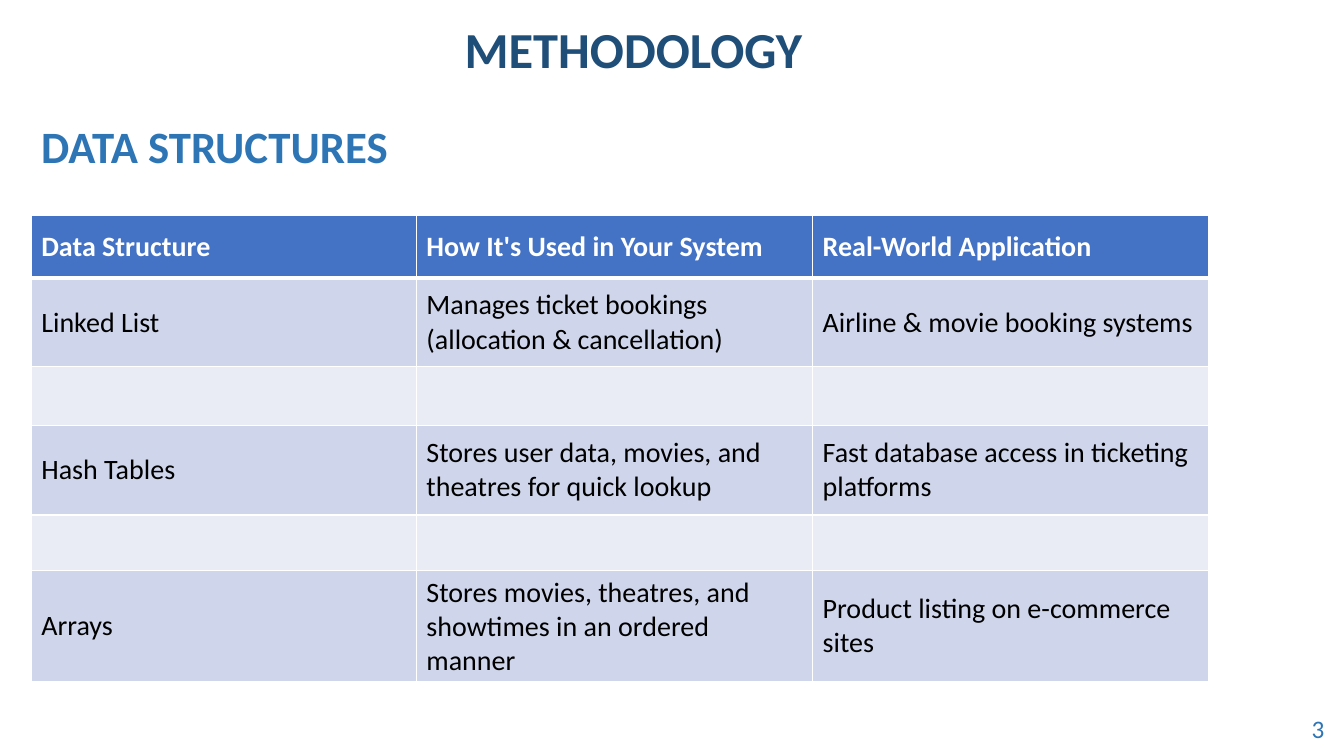
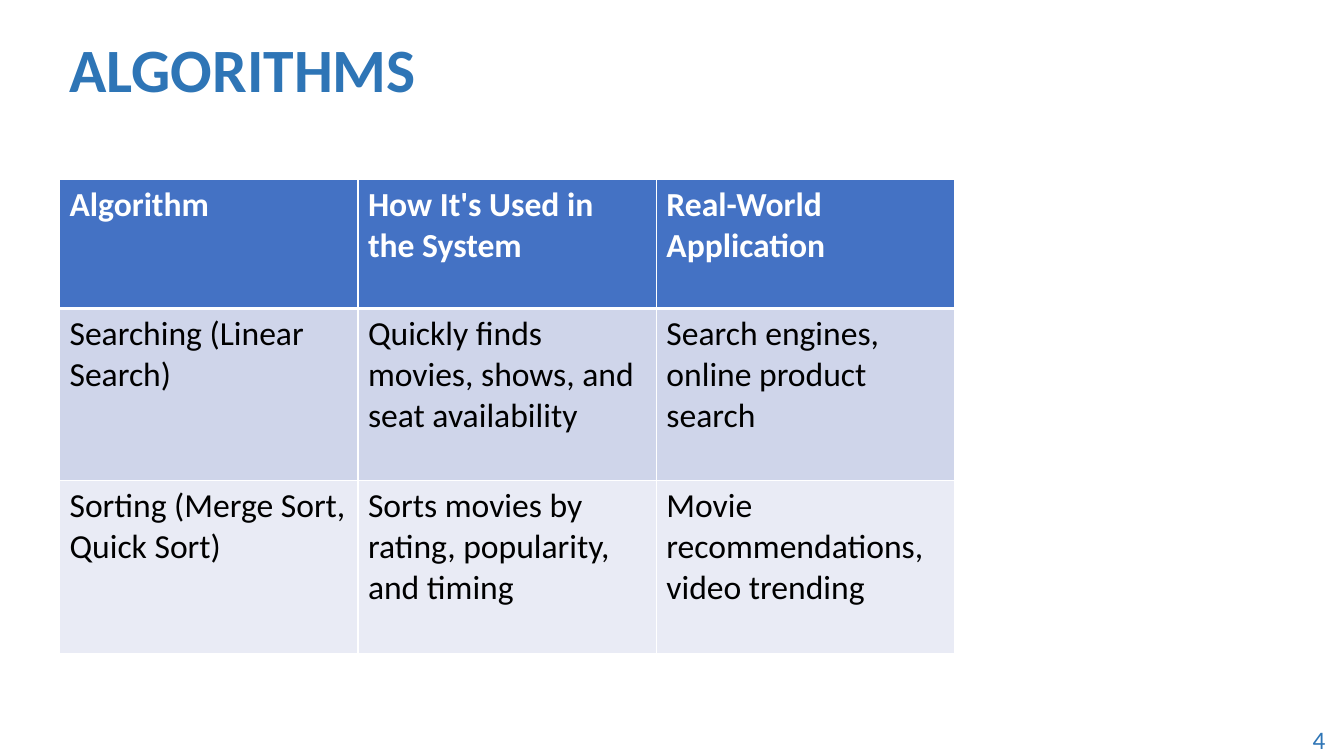
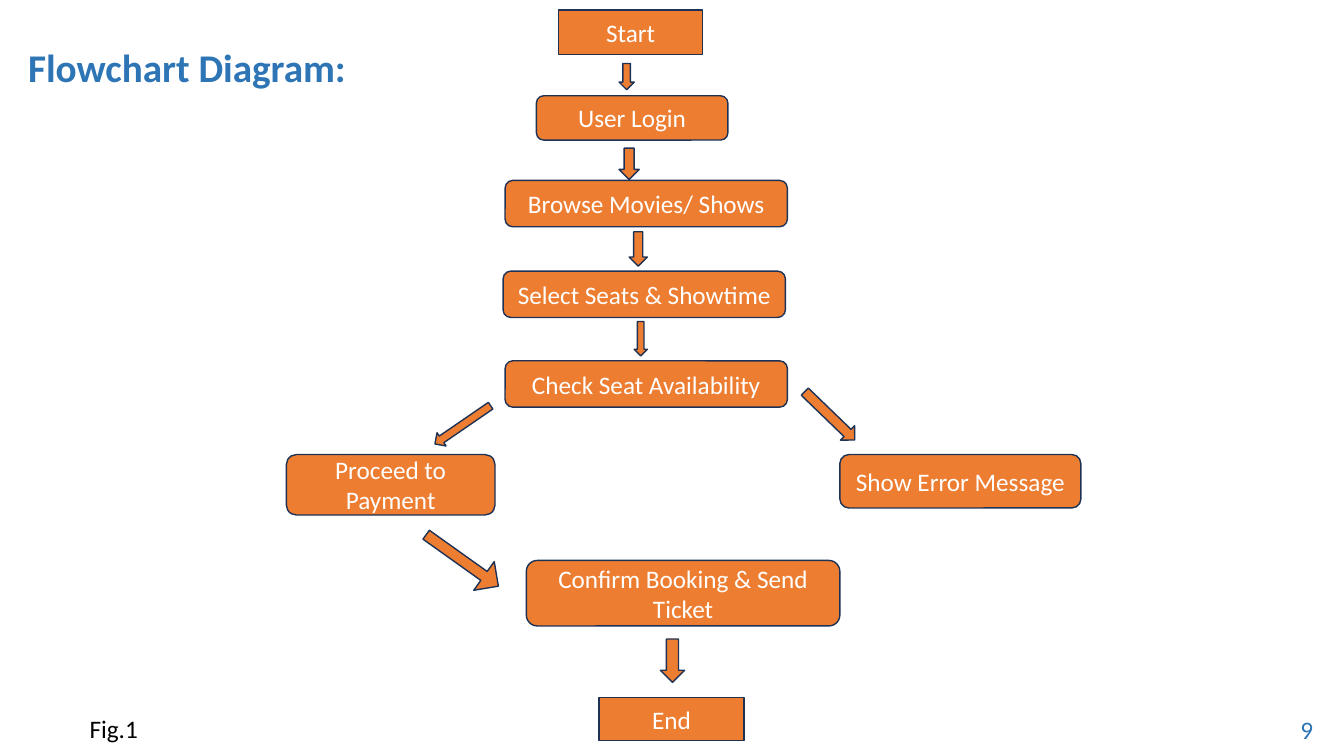
from lxml import etree
from pptx import Presentation
from pptx.dml.color import RGBColor
from pptx.enum.shapes import MSO_SHAPE
from pptx.enum.text import MSO_ANCHOR, PP_ALIGN
from pptx.oxml.ns import qn
from pptx.util import Inches, Pt

RECT, ROUND = MSO_SHAPE.RECTANGLE, MSO_SHAPE.ROUNDED_RECTANGLE
DOWN = MSO_SHAPE.DOWN_ARROW
MID, TOP = MSO_ANCHOR.MIDDLE, MSO_ANCHOR.TOP
LEFT, CENTER = PP_ALIGN.LEFT, PP_ALIGN.CENTER

# Shared look
FONT = "Calibri"
NAVY, BLUE, HEAD = "1F4E79", "2E75B6", "4472C4"
BANDS = ("CFD5EA", "E9EBF5")
ORANGE, EDGE = "ED7D31", "1E3256"
WHITE, BLACK = "FFFFFF", "000000"

# Every place is in columns and rows of this grid
WIDE, HIGH = Inches(13.33), Inches(7.5)
ROWS = 75
UNIT = HIGH / ROWS


def span(count):
    return round(count * UNIT)


def place(cell, at=(0, 0)):
    """Turn column, row, width, height, counted from a corner, into lengths."""
    col, row, wide, high = cell
    return [span(n) for n in (col + at[0], row + at[1], wide, high)]


def tint(code):
    return RGBColor.from_string(code)


def write(frame, text, color, size, bold=False, align=LEFT):
    para = frame.paragraphs[0]
    para.alignment = align
    run = para.add_run()
    run.text = text
    look = {"name": FONT, "size": Pt(size), "bold": bold}
    for key, value in look.items():
        setattr(run.font, key, value)
    run.font.color.rgb = tint(color)


def label(slide, cell, text, color, size, bold=False):
    frame = slide.shapes.add_textbox(*place(cell)).text_frame
    frame.word_wrap = True
    write(frame, text, color, size, bold)


def border(cell, widths):
    props = cell._tc.get_or_add_tcPr()
    for side, width in zip("LRTB", widths):
        line = etree.SubElement(props, qn(f"a:ln{side}"), w=str(Pt(width)))
        fill = etree.SubElement(line, qn("a:solidFill"))
        etree.SubElement(fill, qn("a:srgbClr"), val=WHITE)


def table(slide, corner, cols, rows, data, size, anchor):
    """Header row over banded rows, on the given grid corner."""
    area = place((*corner, sum(cols), sum(rows)))
    grid = slide.shapes.add_table(len(rows), len(cols), *area).table
    grid.horz_banding = False
    for col, wide in zip(grid.columns, cols):
        col.width = span(wide)
    for r, (high, texts) in enumerate(zip(rows, data)):
        grid.rows[r].height = span(high)
        head = r == 0
        fill = HEAD if head else BANDS[(r - 1) % 2]
        for c in range(len(cols)):
            cell = grid.cell(r, c)
            border(cell, (1, 1, 3 if r == 1 else 1, 3 if head else 1))
            cell.fill.solid()
            cell.fill.fore_color.rgb = tint(fill)
            cell.vertical_anchor = anchor
            if texts:
                write(cell.text_frame, texts[c], WHITE if head else BLACK,
                      size, head)


def block(slide, kind, cell, at):
    shape = slide.shapes.add_shape(kind, *place(cell, at))
    shape.shadow.inherit = False
    shape.fill.solid()
    shape.fill.fore_color.rgb = tint(ORANGE)
    shape.line.color.rgb = tint(EDGE)
    shape.line.width = Pt(1)
    return shape


def flow(slide, at, steps, arrows):
    """Steps and block arrows, counted from the chart's corner."""
    for kind, text, *cell in steps:
        frame = block(slide, kind, cell, at).text_frame
        frame.word_wrap = True
        frame.vertical_anchor = MID
        write(frame, text, WHITE, 18, align=CENTER)
    for turn, stem, *cell in arrows:
        arrow = block(slide, DOWN, cell, at)
        arrow.rotation = turn
        arrow.adjustments[0] = stem


STRUCTS = [
    ("Data Structure", "How It's Used in Your System",
     "Real-World Application"),
    ("Linked List", "Manages ticket bookings (allocation & cancellation)",
     "Airline & movie booking systems"),
    (),
    ("Hash Tables", "Stores user data, movies, and theatres for quick lookup",
     "Fast database access in ticketing platforms"),
    (),
    ("Arrays", "Stores movies, theatres, and showtimes in an ordered manner",
     "Product listing on e-commerce sites"),
]

ALGOS = [
    ("Algorithm", "How It's Used in the System", "Real-World Application"),
    ("Searching (Linear Search)",
     "Quickly finds movies, shows, and seat availability",
     "Search engines, online product search"),
    ("Sorting (Merge Sort, Quick Sort)",
     "Sorts movies by rating, popularity, and timing",
     "Movie recommendations, video trending"),
]

# Shape, text, column, row, width, height
STEPS = [
    (RECT, "Start", 27.4, 0, 14.3, 4.4),
    (ROUND, "User Login", 25.2, 8.5, 19, 4.4),
    (ROUND, "Browse Movies/ Shows", 22.1, 16.9, 28, 4.6),
    (ROUND, "Select Seats & Showtime", 21.9, 25.9, 28, 4.6),
    (ROUND, "Check Seat Availability", 22.1, 34.8, 28, 4.6),
    (ROUND, "Proceed to Payment", 0.4, 44.1, 20.7, 6),
    (ROUND, "Show Error Message", 55.3, 44.1, 23.9, 5.3),
    (ROUND, "Confirm Booking & Send Ticket", 24.2, 54.6, 31.1, 6.5),
    (RECT, "End", 31.4, 68.2, 14.4, 4.3),
]

# Turn, stem share, column, row, width, height
ARROWS = [
    (0, 0.5, 33.4, 5.3, 1.5, 2.6),
    (0, 0.5, 33.4, 13.7, 2, 3.1),
    (0, 0.5, 34.4, 22, 1.8, 3.4),
    (0, 0.5, 34.9, 30.9, 1.3, 3.4),
    (55.5, 0.5, 17.1, 37.8, 1.6, 6.7),
    (314, 0.5, 53.3, 36.8, 2, 6.9),
    (305.5, 0.31, 16.1, 50.2, 3.5, 8.8),
    (0, 0.5, 37.5, 62.4, 2.4, 4.3),
]


def page(deck, number, col, row):
    slide = deck.slides.add_slide(deck.slide_layouts[6])
    label(slide, (col, row, 4.1, 3.6), number, BLUE, 18)
    return slide


def main():
    deck = Presentation()
    deck.slide_width, deck.slide_height = WIDE, HIGH

    # Data structures
    slide = page(deck, "3", 129.1, 70.3)
    label(slide, (45.1, 1.3, 56.5, 7.1), "METHODOLOGY", NAVY, 36, True)
    label(slide, (3.1, 11.3, 56.5, 6.4), "DATA STRUCTURES", BLUE, 32, True)
    table(slide, (3.1, 21.4), (38.2, 39.3, 39.3),
          (6.2, 8.8, 5.8, 8.9, 5.5, 11), STRUCTS, 20, MID)

    # Algorithms
    slide = page(deck, "4", 129.2, 71.4)
    label(slide, (5.9, 2.6, 63.3, 8.4), "ALGORITHMS", BLUE, 44, True)
    table(slide, (5.9, 17.8), (29.6,) * 3, (12.8, 17.1, 17.1),
          ALGOS, 24, TOP)

    # Flowchart
    slide = page(deck, "9", 128, 70.4)
    label(slide, (1.8, 3.8, 42.5, 5.7), "Flowchart Diagram:", BLUE, 28, True)
    flow(slide, (28, 1), STEPS, ARROWS)
    label(slide, (7.9, 70.3, 8.3, 4), "Fig.1", BLACK, 18)

    deck.save("out.pptx")


if __name__ == "__main__":
    main()
